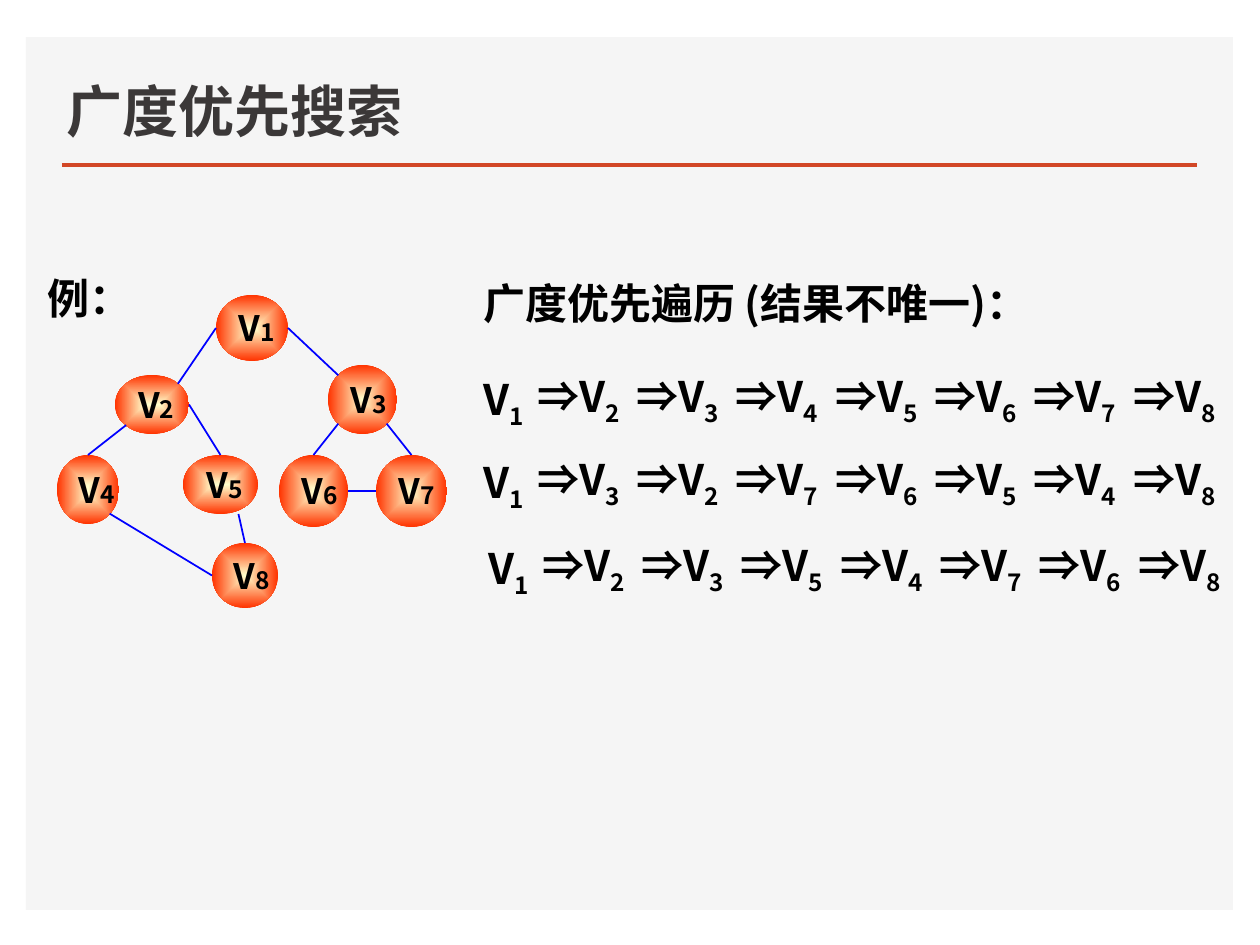
from dataclasses import dataclass

from lxml import etree
from pptx import Presentation
from pptx import util as u
from pptx.dml.color import RGBColor
from pptx.enum import shapes, text
from pptx.oxml import parse_xml
from pptx.oxml.ns import nsdecls, qn

PX = 914400 / 126


@dataclass(frozen=True)
class Theme:
    font: str = "Noto Sans CJK SC"
    panel: str = "F5F5F5"
    rule: str = "D24726"
    title: str = "3B3838"
    ink: str = "000000"
    edge: str = "0000FF"
    node_core: str = "FFFFCC"
    node_rim: str = "FF3300"
    title_size: int = 32
    body_size: int = 24
    node_size: int = 20
    node_index_size: int = 14


THEME = Theme()

# Vertex number: left, top, width, height
NODES = {
    1: (216, 295, 72, 66),
    2: (115, 375, 74, 59),
    4: (57, 455, 62, 69),
    5: (183, 455, 75, 59),
    3: (328, 365, 69, 69),
    7: (376, 455, 71, 72),
    6: (279, 455, 69, 72),
    8: (212, 543, 66, 65),
}

# Point of an oval: its connection site, and its place as shares of width and height
SITES = {
    "top": (0, 0.5, 0),
    "top left": (1, 0.15, 0.15),
    "left": (2, 0, 0.5),
    "bottom left": (3, 0.15, 0.85),
    "bottom right": (5, 0.85, 0.85),
    "right": (6, 1, 0.5),
    "top right": (7, 0.85, 0.15),
    "below right": (None, 0.74, 1),
}

EDGES = [
    (3, "bottom right", 7, "top"),
    (3, "bottom left", 6, "top"),
    (1, "right", 3, "top left"),
    (1, "left", 2, "top right"),
    (2, "bottom left", 4, "top"),
    (2, "right", 5, "top"),
    (4, "bottom right", 8, "left"),
    (8, "top", 5, "below right"),
    (7, "left", 6, "right"),
]

# Left, top and visiting order of each traversal
TRAVERSALS = [
    (471, 364, "12345678"),
    (471, 447, "13276548"),
    (476, 533, "12354768"),
]


def px(*lengths):
    return [u.Emu(round(length * PX)) for length in lengths]


def write(frame, *runs, color=THEME.ink, anchor=text.MSO_ANCHOR.TOP, wrap=True):
    """Fill a frame with bold runs, each given as (words, size, baseline in percent)."""
    frame.word_wrap = wrap
    frame.vertical_anchor = anchor
    paragraph = frame.paragraphs[0]
    paragraph.alignment = text.PP_ALIGN.LEFT
    for words, size, baseline in runs:
        run = paragraph.add_run()
        run.text = words
        run.font.size = u.Pt(size)
        run.font.bold = True
        run.font.name = THEME.font
        run.font.color.rgb = RGBColor.from_string(color)
        properties = run.font._element
        etree.SubElement(properties, qn("a:ea"), typeface=THEME.font)
        if baseline:
            properties.set("baseline", str(baseline * 1000))


def add_label(slide, box, *runs, **format):
    frame = slide.shapes.add_textbox(*px(*box)).text_frame
    write(frame, *runs, **format)
    frame.auto_size = text.MSO_AUTO_SIZE.SHAPE_TO_FIT_TEXT


def add_line(parent, start, end, color, width):
    line = parent.shapes.add_connector(
        shapes.MSO_CONNECTOR.STRAIGHT, *px(*start, *end))
    line.line.color.rgb = RGBColor.from_string(color)
    line.line.width = u.Pt(width)
    etree.SubElement(line._element.spPr, qn("a:effectLst"))
    return line


def add_panel(slide):
    panel = slide.shapes.add_shape(
        shapes.MSO_SHAPE.RECTANGLE, *px(26, 37, 1207, 873))
    panel.shadow.inherit = False
    panel.fill.solid()
    panel.fill.fore_color.rgb = RGBColor.from_string(THEME.panel)
    panel.line.fill.background()


def place_title(slide, words):
    """Set the title and bring it in front of the panel."""
    title = slide.shapes.title
    title.left, title.top, title.width, title.height = px(54, 62, 711, 88)
    write(title.text_frame, (words, THEME.title_size, 0),
          color=THEME.title, anchor=text.MSO_ANCHOR.BOTTOM)
    slide.shapes._spTree.append(title._element)


def radial_fill():
    stops = "".join(
        f'<a:gs pos="{position}"><a:srgbClr val="{color}"/></a:gs>'
        for position, color in ((0, THEME.node_core), (100000, THEME.node_rim)))
    return parse_xml(
        f'<a:gradFill {nsdecls("a")} rotWithShape="1"><a:gsLst>{stops}</a:gsLst>'
        '<a:path path="shape"><a:fillToRect l="50000" t="50000" r="50000" b="50000"/>'
        '</a:path></a:gradFill>')


def add_node(graph, number, box):
    node = graph.shapes.add_shape(shapes.MSO_SHAPE.OVAL, *px(*box))
    node.shadow.inherit = False
    node.line.fill.background()
    node._element.spPr.find(qn("a:prstGeom")).addnext(radial_fill())
    write(node.text_frame, ("V", THEME.node_size, 0),
          (str(number), THEME.node_index_size, 0),
          anchor=text.MSO_ANCHOR.MIDDLE, wrap=False)
    return node


def site_point(number, site):
    left, top, width, height = NODES[number]
    _, across, down = SITES[site]
    return left + width * across, top + height * down


def add_edge(graph, nodes, start, start_site, end, end_site):
    """Draw an edge and join it to the ovals' own connection sites."""
    edge = add_line(graph, site_point(start, start_site),
                    site_point(end, end_site), THEME.edge, 1)
    joints = edge._element.nvCxnSpPr.cNvCxnSpPr
    for tag, number, site in (("a:stCxn", start, start_site),
                              ("a:endCxn", end, end_site)):
        index = SITES[site][0]
        if index is not None:
            etree.SubElement(joints, qn(tag), id=str(nodes[number].shape_id),
                             idx=str(index))


def add_graph(slide):
    graph = slide.shapes.add_group_shape()
    nodes = {number: add_node(graph, number, box) for number, box in NODES.items()}
    for edge in EDGES:
        add_edge(graph, nodes, *edge)


def add_traversal(slide, left, top, order):
    size = THEME.body_size
    add_label(slide, (left, top + 3, 77, 64), ("V", size, 0), (order[0], size, -25))
    for step, number in enumerate(order[1:]):
        add_label(slide, (left + 54 + step * 298 // 3, top, 124, 64),
                  ("⇒V", size, 0), (number, size, -25))


def main():
    deck = Presentation()
    deck.slide_width, deck.slide_height = px(1260, 945)
    slide = deck.slides.add_slide(deck.slide_layouts.get_by_name("Title Only"))
    add_panel(slide)
    add_line(slide, (62, 165), (1197, 165), THEME.rule, 2)
    place_title(slide, "广度优先搜索")
    add_label(slide, (35, 266, 124, 63), ("例：", THEME.body_size, 0),
              anchor=text.MSO_ANCHOR.MIDDLE)
    add_graph(slide)
    add_label(slide, (471, 271, 586, 64),
              ("广度优先遍历 (结果不唯一)：", THEME.body_size, 0))
    for traversal in TRAVERSALS:
        add_traversal(slide, *traversal)
    deck.save("out.pptx")


if __name__ == "__main__":
    main()
